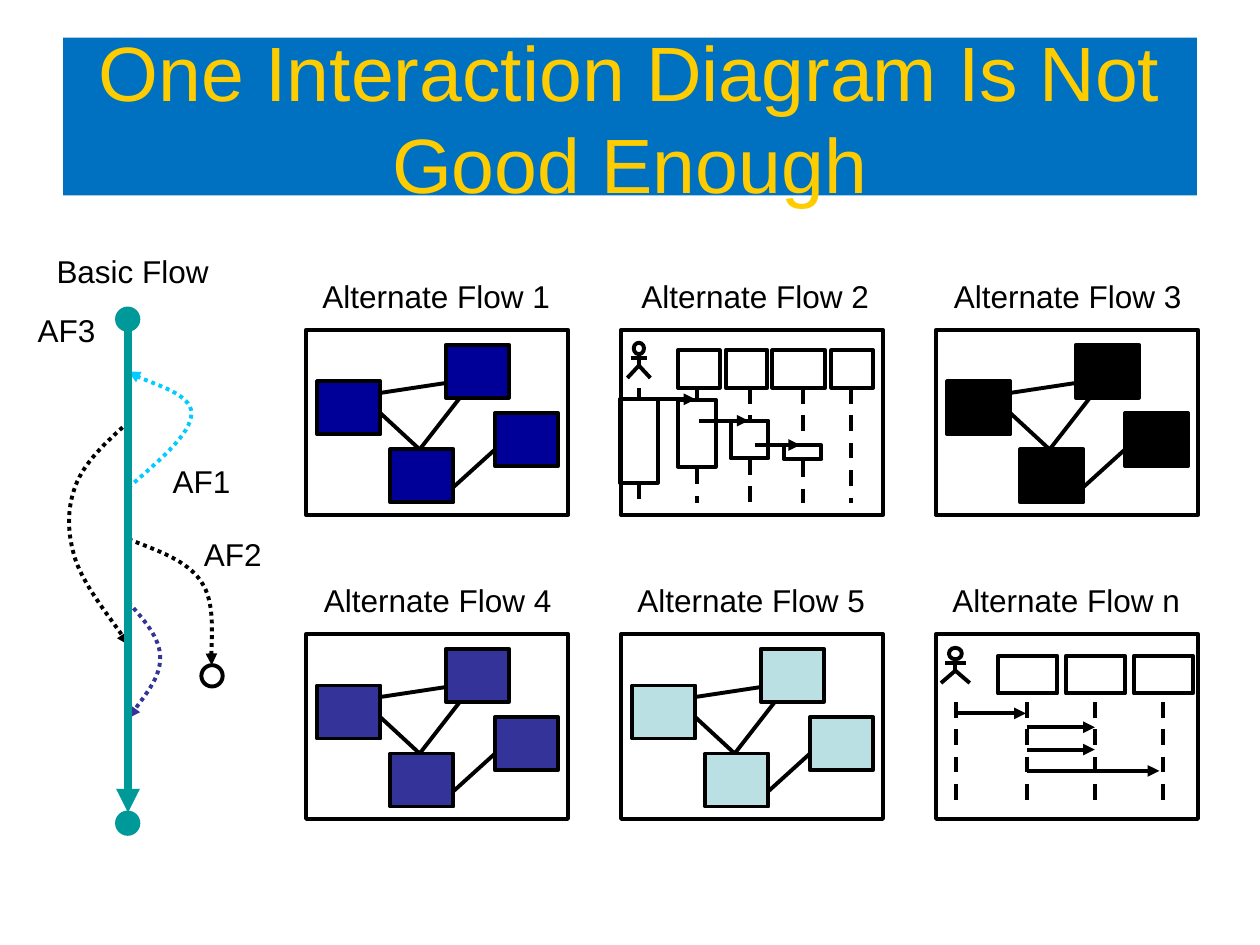
"""Build the slide on why one interaction diagram is not good enough."""
from itertools import product

from lxml import etree
from pptx import Presentation
from pptx.dml.color import RGBColor
from pptx.enum import dml, shapes, text
from pptx.oxml.ns import qn
from pptx.util import Cm, Pt

BLACK, TEAL = "000000", "009999"
RECT, OVAL = shapes.MSO_SHAPE.RECTANGLE, shapes.MSO_SHAPE.OVAL

deck = Presentation()
deck.slide_width, deck.slide_height = Cm(25.4), Cm(19.05)
slide = deck.slides.add_slide(deck.slide_layouts[5])


def outline(geometry, left, top, width, height, fill=None, line=BLACK):
    """Add a preset shape with a heavy outline and an optional fill."""
    shape = slide.shapes.add_shape(geometry, Cm(left), Cm(top), Cm(width), Cm(height))
    shape.shadow.inherit = False
    shape.line.color.rgb = RGBColor.from_string(line)
    shape.line.width = Pt(2.25)
    if fill:
        shape.fill.solid()
        shape.fill.fore_color.rgb = RGBColor.from_string(fill)
    else:
        shape.fill.background()


def stroke(points, color=BLACK, width=2.25, dash=None, arrow=False):
    """Draw a connector through two points, or an open outline through more."""
    corners = [(Cm(x), Cm(y)) for x, y in points]
    if len(corners) == 2:
        mark = slide.shapes.add_connector(shapes.MSO_CONNECTOR.STRAIGHT, *corners[0], *corners[1])
        etree.SubElement(mark.element.spPr, qn("a:effectLst"))
    else:
        builder = slide.shapes.build_freeform(*corners[0])
        builder.add_line_segments(corners[1:], close=False)
        mark = builder.convert_to_shape()
        mark.shadow.inherit = False
        mark.fill.background()
    mark.line.color.rgb = RGBColor.from_string(color)
    mark.line.width = Pt(width)
    if dash:
        mark.line.dash_style = dash
    if arrow:
        etree.SubElement(mark.element.spPr.find(qn("a:ln")), qn("a:tailEnd"), type="triangle")
    return mark


title = slide.shapes.title
title.left, title.top, title.width, title.height = Cm(1.27), Cm(0.76), Cm(22.86), Cm(3.18)
title.fill.solid()
title.fill.fore_color.rgb = RGBColor.from_string("0070C0")
heading = title.text_frame
heading.text = "One Interaction Diagram Is Not Good Enough"
heading.auto_size = text.MSO_AUTO_SIZE.NONE
heading.vertical_anchor = text.MSO_ANCHOR.MIDDLE
heading.paragraphs[0].alignment = text.PP_ALIGN.CENTER
heading_font = heading.paragraphs[0].runs[0].font
heading_font.name, heading_font.size = "Arial", Pt(44)
heading_font.color.rgb = RGBColor.from_string("FFCC00")

panel_x = [6.17 + 6.35 * column for column in range(3)]
panel_y = [6.65, 12.78]
panels = list(product(panel_y, panel_x))
label_x = [6.5, 12.93, 19.23, 6.53, 12.85, 19.2]
captions = [("Basic Flow", 0.89, 4.95, 3.58, 1.02, 0.25), ("AF3", 0.51, 6.15, 1.68, 1.02, 0.25),
            ("AF1", 3.23, 9.19, 1.68, 1.02, 0.25), ("AF2", 3.86, 10.67, 1.68, 1.02, 0.25)]
for number, x, (y, _) in zip("12345n", label_x, panels):
    captions.append((f"Alternate Flow {number}", x, y - 1.06, 4.6, 0.76, 0))
for words, x, y, width, height, inset in captions:
    frame = slide.shapes.add_textbox(Cm(x), Cm(y), Cm(width), Cm(height)).text_frame
    frame.text = words
    frame.word_wrap = False
    frame.margin_left = frame.margin_right = Cm(inset)
    frame.margin_top = frame.margin_bottom = Cm(inset / 2)
    caption_font = frame.paragraphs[0].runs[0].font
    caption_font.name, caption_font.size = "Arial", Pt(18)
    caption_font.color.rgb = RGBColor.from_string(BLACK)

detours = [
    (BLACK, [(2.59, 8.51), (2.13, 8.92), (1.7, 9.32), (1.52, 9.8), (1.35, 10.26),
             (1.35, 10.74), (1.52, 11.28), (1.7, 11.81), (2.41, 12.7), (2.59, 13)]),
    ("333399", [(2.59, 12.14), (2.9, 12.5), (3.23, 12.85), (3.23, 13.26),
                (3.23, 13.64), (2.9, 14.05), (2.59, 14.48)]),
    ("00CCFF", [(2.59, 9.83), (3.23, 9.27), (3.86, 8.74), (3.86, 8.33),
                (3.86, 7.95), (2.79, 7.65), (2.59, 7.49)]),
    (BLACK, [(2.59, 10.87), (3.18, 11.1), (3.78, 11.3), (4.06, 11.73),
             (4.34, 12.14), (4.24, 13.13), (4.27, 13.41)]),
]
for color, controls in detours:
    detour = stroke(controls, color, dash=dml.MSO_LINE.ROUND_DOT, arrow=True)
    segments = list(detour.element.iter(qn("a:lnTo")))
    route = segments[0].getparent()
    for triple in zip(segments[::3], segments[1::3], segments[2::3]):
        bend = etree.SubElement(route, qn("a:cubicBezTo"))
        for segment in triple:
            bend.append(segment[0])
            route.remove(segment)

for x, y, color, fill in [(2.36, 6.22, TEAL, TEAL), (2.36, 16.38, TEAL, TEAL), (4.06, 13.41, BLACK, None)]:
    outline(OVAL, x, y, 0.43, 0.43, fill, color)
stroke([(2.58, 6.65), (2.58, 16.38)], TEAL, 4.5, arrow=True)

node_spots = [(0.23, 1.04), (1.7, 2.41), (3.81, 1.68), (2.82, 0.3)]
links = [((1.5, 1.68), (2.29, 2.41)), ((1.5, 1.27), (2.82, 1.07)),
         ((2.29, 2.41), (3.1, 1.37)), ((2.97, 3.17), (3.81, 2.41))]
node_fills = ["000099", None, BLACK, "333399", "BBE0E3", None]
for (top, left), fill in zip(panels, node_fills):
    outline(RECT, left, top, 5.28, 3.73)
    if fill:
        for link in links:
            stroke([(left + x, top + y) for x, y in link])
        for x, y in node_spots:
            outline(RECT, left + x, top + y, 1.27, 1.07, fill)

for x, y, scale in [(12.88, 6.91, 0.8), (19.26, 13.06, 1)]:
    head, arm, foot = 0.13 * scale, 0.21 * scale, 0.29 * scale
    outline(OVAL, x - head, y, 2 * head, 0.23)
    stroke([(x, y + 0.23), (x, y + 0.46)])
    stroke([(x - arm, y + 0.3), (x + arm, y + 0.3)])
    stroke([(x - foot, y + 0.71), (x, y + 0.46), (x + foot, y + 0.71)])

participants = [(13.67, 7.06, 0.84), (14.63, 7.06, 0.84), (15.57, 7.06, 1.07), (16.76, 7.06, 0.84)]
participants += [(20.12 + 1.37 * place, 13.22, 1.19) for place in range(3)]
for x, y, width in participants:
    outline(RECT, x, y, width, 0.76)

lifelines = [(12.88, 7.82, 8.08), (12.88, 9.75, 10.13), (14.05, 7.82, 8.08), (14.05, 9.45, 10.13),
             (15.11, 7.82, 8.48), (15.11, 9.25, 10.13), (16.18, 7.82, 8.97), (16.18, 9.3, 10.13),
             (17.15, 7.82, 10.13)]
lifelines += [(x, 14.15, 16.23) for x in (19.28, 20.7, 22.07, 23.44)]
for x, start, end in lifelines:
    stroke([(x, start), (x, end)], dash=dml.MSO_LINE.DASH)

for x, y, height in [(12.88, 8.05, 1.68), (14.05, 8.06, 1.35), (15.11, 8.48, 0.76), (16.18, 8.98, 0.28)]:
    outline(RECT, x - 0.38, y, 0.76, height)

messages = [(12.85, 14.02, 8.05), (14.1, 15.09, 8.48), (15.21, 16.13, 8.97), (19.25, 20.68, 14.38),
            (20.7, 22.07, 14.66), (20.7, 22.07, 15.11), (20.7, 23.37, 15.54)]
for start, end, y in messages:
    stroke([(start, y), (end, y)], arrow=True)

deck.save("out.pptx")
